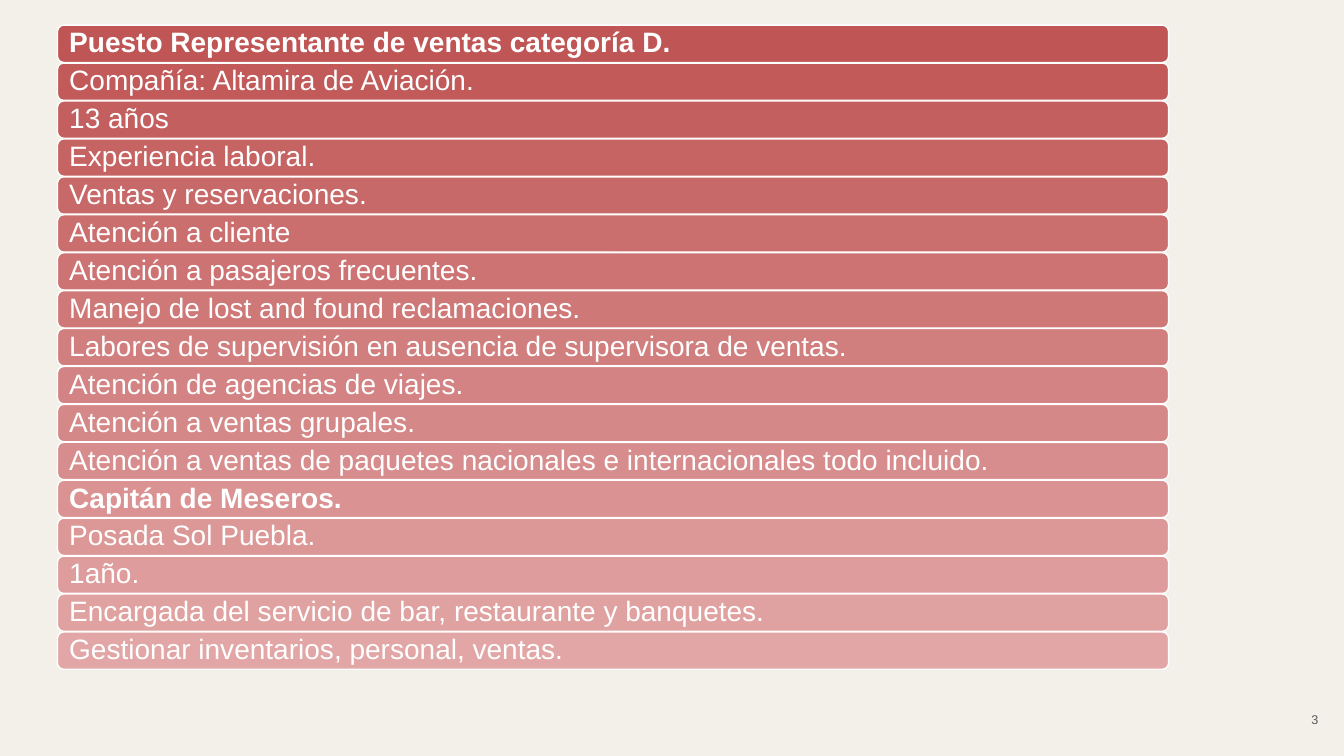
from pptx import Presentation
from pptx.dml.color import RGBColor
from pptx.enum.shapes import MSO_SHAPE as Shape
from pptx.enum.text import MSO_ANCHOR as Anchor, PP_ALIGN as Align
from pptx.util import Inches, Pt

ENTRIES = [
    "Puesto Representante de ventas categoría D.",
    "Compañía: Altamira de Aviación.",
    "13 años",
    "Experiencia laboral.",
    "Ventas y reservaciones.",
    "Atención a cliente",
    "Atención a pasajeros frecuentes.",
    "Manejo de lost and found reclamaciones.",
    "Labores de supervisión en ausencia de supervisora de ventas.",
    "Atención de agencias de viajes.",
    "Atención a ventas grupales.",
    "Atención a ventas de paquetes nacionales e internacionales todo incluido.",
    "Capitán de Meseros.",
    "Posada Sol Puebla.",
    "1año.",
    "Encargada del servicio de bar, restaurante y banquetes.",
    "Gestionar inventarios, personal, ventas.",
]
JOB_TITLES = {ENTRIES[0], ENTRIES[12]}
FIRST_TOP, LAST_TOP = 0.25, 6.27
FIRST_COLOR, LAST_COLOR = "C05555", "E2A6A6"


def color(value):
    return RGBColor.from_string(value)


def blend(start, end, share):
    pairs = zip(color(start), color(end))
    return "".join(f"{round(a + (b - a) * share):02X}" for a, b in pairs)


def apply_format(target, values):
    for name, value in values.items():
        setattr(target, name, value)


class ResumeSlide:
    font = "Arial"
    background = "F3F0E9"
    white = "FFFFFF"
    gray = "595959"

    def __init__(self, presentation):
        self.slide = presentation.slides.add_slide(presentation.slide_layouts[6])
        fill = self.slide.background.fill
        fill.solid()
        fill.fore_color.rgb = color(self.background)

    def add_text(self, shape, text, size, ink, align, bold=False):
        frame = shape.text_frame
        apply_format(frame, {
            "word_wrap": True,
            "vertical_anchor": Anchor.MIDDLE,
            "margin_left": Inches(0.1),
            "margin_right": Inches(0.1),
            "margin_top": 0,
            "margin_bottom": 0,
        })
        paragraph = frame.paragraphs[0]
        apply_format(paragraph, {"alignment": align, "line_spacing": 0.9})
        run = paragraph.add_run()
        run.text = text
        apply_format(run.font, {"name": self.font, "size": Pt(size), "bold": bold})
        run.font.color.rgb = color(ink)

    def add_bar(self, text, top, fill):
        shape = self.slide.shapes.add_shape(
            Shape.ROUNDED_RECTANGLE,
            Inches(0.57), Inches(top), Inches(11.02), Inches(0.37))
        shape.shadow.inherit = False
        shape.fill.solid()
        shape.fill.fore_color.rgb = color(fill)
        shape.line.color.rgb = color(self.white)
        shape.line.width = Pt(1)
        self.add_text(shape, text, 20, self.white, Align.LEFT, text in JOB_TITLES)

    def add_page_number(self, text):
        shape = self.slide.shapes.add_textbox(
            Inches(12.75), Inches(6.95), Inches(0.58), Inches(0.4))
        self.add_text(shape, text, 9, self.gray, Align.CENTER)


def main():
    presentation = Presentation()
    apply_format(presentation, {
        "slide_width": Inches(13.33),
        "slide_height": Inches(7.5),
    })
    resume = ResumeSlide(presentation)
    for index, entry in enumerate(ENTRIES):
        share = index / (len(ENTRIES) - 1)
        top = FIRST_TOP + (LAST_TOP - FIRST_TOP) * share
        resume.add_bar(entry, top, blend(FIRST_COLOR, LAST_COLOR, share))
    resume.add_page_number("3")
    presentation.save("out.pptx")


if __name__ == "__main__":
    main()
